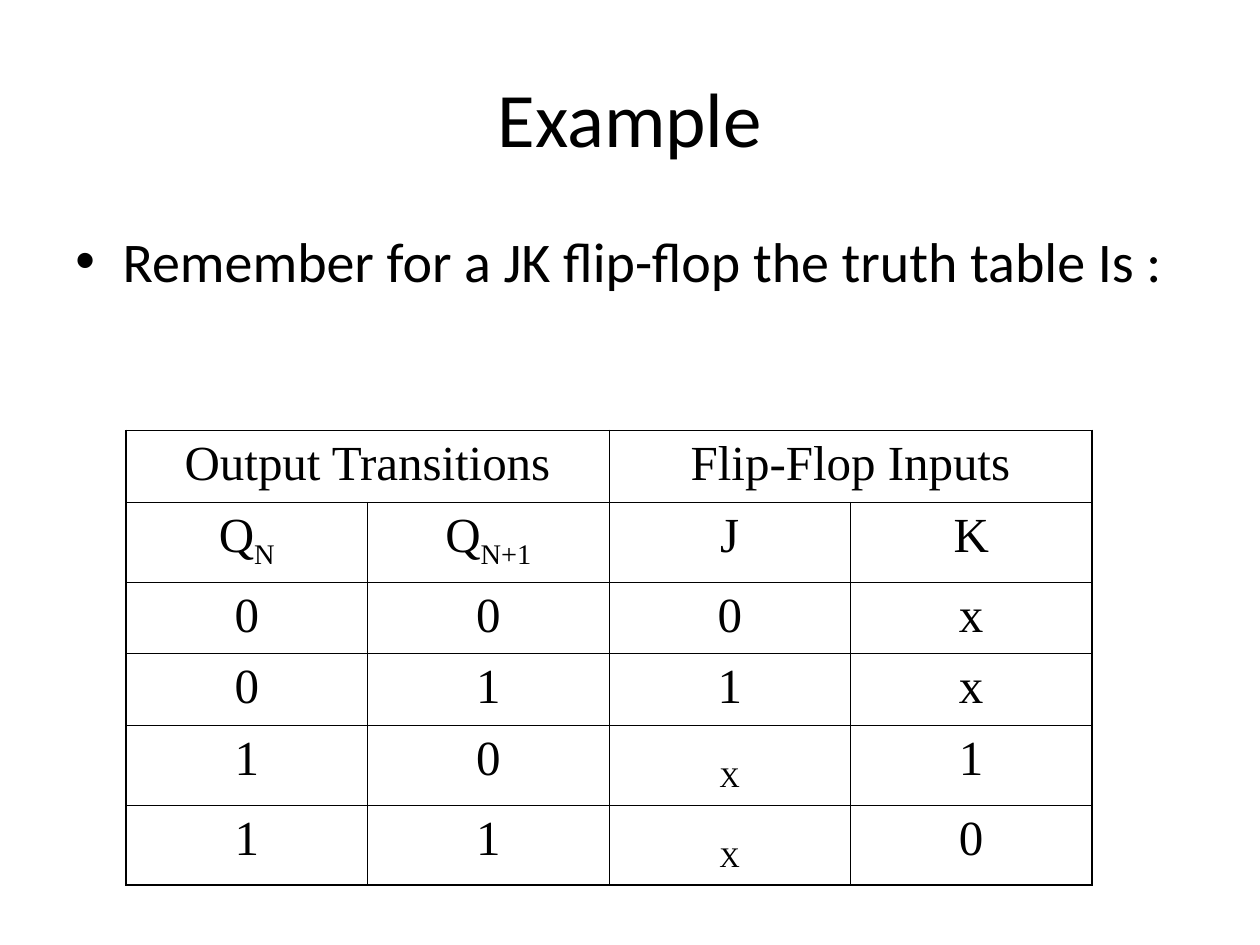
import pptx
import pptx.dml.color
import pptx.enum.text
import pptx.oxml
import pptx.oxml.ns
import pptx.util
from lxml import etree

Pt = pptx.util.Pt
ALIGN = pptx.enum.text.PP_ALIGN
ANCHOR = pptx.enum.text.MSO_ANCHOR
COLORS = {"ink": "000000", "paper": "FFFFFF"}
OUTER_LINE, INNER_LINE = 1.08, 0.45

# An underscore starts the subscript part of a cell; None continues a merged cell.
TRUTH_TABLE = [
    ["Output Transitions", None, "Flip-Flop Inputs", None],
    ["Q_N", "Q_N+1", "J", "K"],
    ["0", "0", "0", "x"],
    ["0", "1", "1", "x"],
    ["1", "0", "_X", "1"],
    ["1", "1", "_X", "0"],
]
PLAIN_ROW, SUBSCRIPT_ROW = 41.04, 45.6


def rgb(name):
    return pptx.dml.color.RGBColor.from_string(COLORS[name])


def format_span(span, font, size):
    span.font.name = font
    span.font.size = Pt(size)
    span.font.color.rgb = rgb("ink")


def place(shape, box):
    shape.left, shape.top, shape.width, shape.height = map(Pt, box)


def add_title(slide, box, text):
    title = slide.shapes.title
    place(title, box)
    title.text_frame.text = text
    title.text_frame.vertical_anchor = ANCHOR.MIDDLE
    para = title.text_frame.paragraphs[0]
    para.alignment = ALIGN.CENTER
    format_span(para.runs[0], "Calibri", 44)


def add_bullet(slide, box, text):
    frame = slide.shapes.add_textbox(*map(Pt, box)).text_frame
    frame.word_wrap = True
    frame.text = text
    para = frame.paragraphs[0]
    para.space_before = Pt(8)
    format_span(para.runs[0], "Calibri", 32)
    properties = para._p.get_or_add_pPr()
    properties.set("marL", str(Pt(27)))
    properties.set("indent", str(Pt(-27)))
    font = etree.SubElement(properties, pptx.oxml.ns.qn("a:buFont"))
    font.set("typeface", "Arial")
    bullet = etree.SubElement(properties, pptx.oxml.ns.qn("a:buChar"))
    bullet.set("char", "•")


def set_borders(cell, widths):
    properties = cell._tc.get_or_add_tcPr()
    for side, width in widths.items():
        properties.append(pptx.oxml.parse_xml(
            f'<a:ln{side} {pptx.oxml.ns.nsdecls("a")} w="{Pt(width)}">'
            f'<a:solidFill><a:srgbClr val="{COLORS["ink"]}"/></a:solidFill>'
            f'</a:ln{side}>'))


def fill_cell(cell, text):
    base, _, subscript = text.partition("_")
    para = cell.text_frame.paragraphs[0]
    para.alignment = ALIGN.CENTER
    para.space_before = Pt(7)
    for part, offset in ((base, 0), (subscript, -25000)):
        if part:
            span = para.add_run()
            span.text = part
            format_span(span, "Times New Roman", 28)
            if offset:
                span.font._element.set("baseline", str(offset))


def add_truth_table(slide, box, rows):
    row_count, column_count = len(rows), len(rows[0])
    table = slide.shapes.add_table(row_count, column_count, *map(Pt, box)).table
    table.first_row = table.horz_banding = False
    for column in table.columns:
        column.width = Pt(box[2] / column_count)

    for r, values in enumerate(rows):
        has_subscript = any("_" in value for value in values if value)
        table.rows[r].height = Pt(SUBSCRIPT_ROW if has_subscript else PLAIN_ROW)
        for c, value in enumerate(values):
            if value is None:
                continue
            cell = table.cell(r, c)
            last = c
            while last + 1 < column_count and values[last + 1] is None:
                last += 1
            if last > c:
                cell.merge(table.cell(r, last))
            on_edge = {"L": c == 0, "R": last == column_count - 1,
                       "T": r == 0, "B": r == row_count - 1}
            set_borders(cell, {side: OUTER_LINE if edge else INNER_LINE
                               for side, edge in on_edge.items()})
            cell.fill.background()
            fill_cell(cell, value)


def main():
    deck = pptx.Presentation()
    deck.slide_width, deck.slide_height = Pt(720), Pt(540)
    slide = deck.slides.add_slide(deck.slide_layouts[5])
    slide.background.fill.solid()
    slide.background.fill.fore_color.rgb = rgb("paper")

    add_title(slide, (36, 21.6, 648, 90), "Example")
    add_bullet(slide, (36, 126, 648, 356.4),
               "Remember for a JK flip-flop the truth table Is :")
    add_truth_table(slide, (72, 246, 552, 260), TRUTH_TABLE)
    deck.save("out.pptx")


if __name__ == "__main__":
    main()
